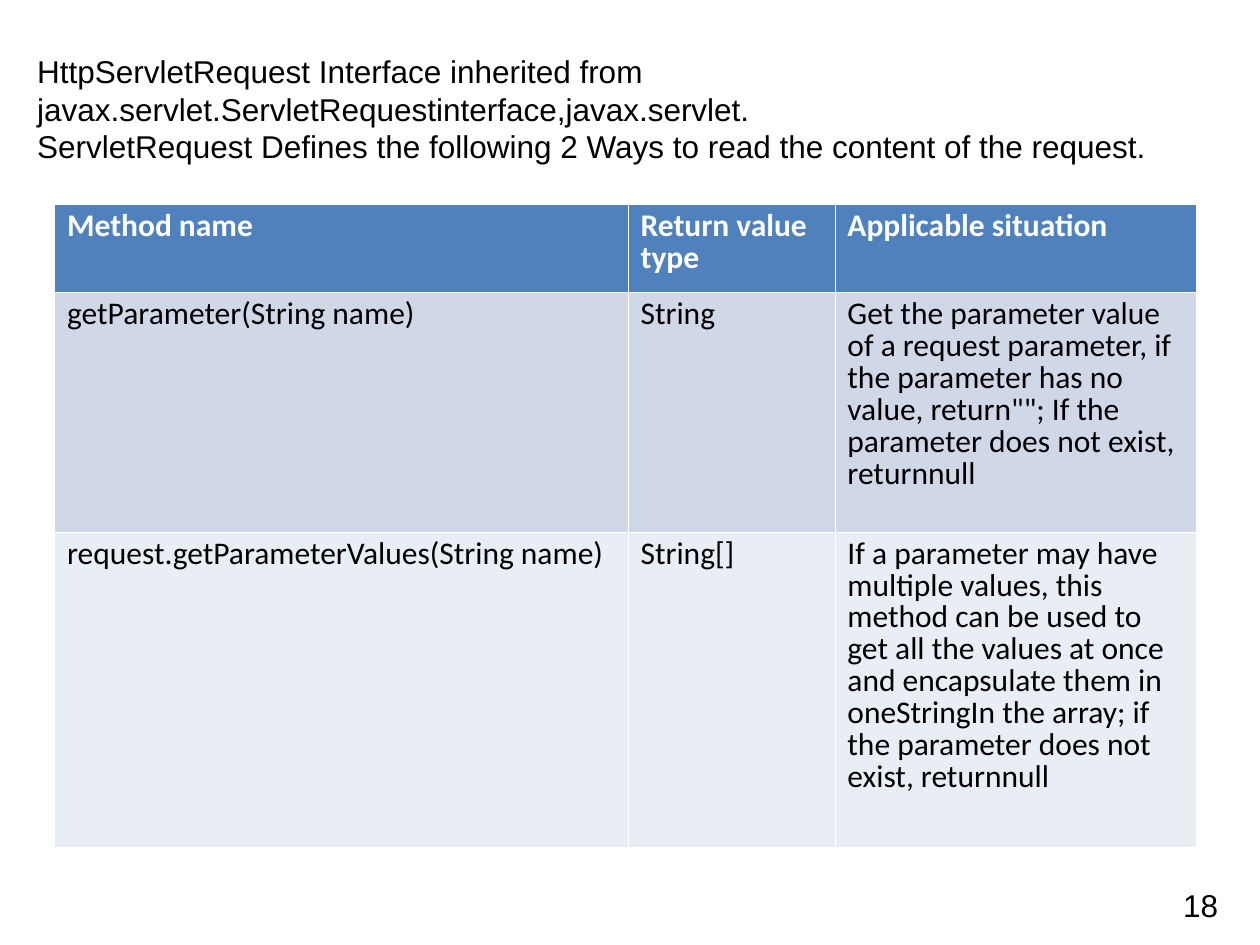
from lxml.etree import SubElement
from pptx import Presentation
from pptx.dml.color import RGBColor
from pptx.oxml.ns import qn
from pptx.util import Cm, Pt

BLACK = RGBColor(0x00, 0x00, 0x00)
WHITE = RGBColor(0xFF, 0xFF, 0xFF)
HEADER_BLUE = RGBColor(0x4F, 0x81, 0xBD)
BAND_DARK = RGBColor(0xD0, 0xD8, 0xE8)
BAND_LIGHT = RGBColor(0xE9, 0xED, 0xF4)

INTRO = [
    "HttpServletRequest Interface inherited from "
    "javax.servlet.ServletRequestinterface,javax.servlet.",
    "ServletRequest Defines the following 2 Ways to read the content of the request.",
]
METHODS = [
    ["Method name", "Return value type", "Applicable situation"],
    ["getParameter(String name)", "String",
     "Get the parameter value of a request parameter, if the parameter has no "
     'value, return""; If the parameter does not exist, returnnull'],
    ["request.getParameterValues(String name)", "String[]",
     "If a parameter may have multiple values, this method can be used to get all "
     "the values at once and encapsulate them in oneStringIn the array; if the "
     "parameter does not exist, returnnull"],
]
COL_WIDTHS = [11.56, 4.17, 7.29]
ROW_HEIGHTS = [1.78, 4.83, 6.35]
ROW_FILLS = [HEADER_BLUE, BAND_DARK, BAND_LIGHT]
THIN, THICK = 0.23, 0.75


def write_text(tf, lines, font="Arial", size=18, color=BLACK, bold=False, spacing=None):
    tf.word_wrap = True
    for i, line in enumerate(lines):
        p = tf.paragraphs[0] if i == 0 else tf.add_paragraph()
        if spacing:
            p.line_spacing = spacing
        r = p.add_run()
        r.text = line
        r.font.name = font
        r.font.size = Pt(size)
        r.font.bold = bold
        r.font.color.rgb = color


def add_text(s, left, top, width, height, lines, **fmt):
    sp = s.shapes.add_textbox(Cm(left), Cm(top), Cm(width), Cm(height))
    write_text(sp.text_frame, lines, **fmt)


def set_borders(cell, top, bottom):
    """Draw white cell borders; widths are in points."""
    tc_pr = cell._tc.get_or_add_tcPr()
    widths = {"a:lnL": THIN, "a:lnR": THIN, "a:lnT": top, "a:lnB": bottom}
    for i, (tag, width) in enumerate(widths.items()):
        ln = SubElement(tc_pr, qn(tag), w=str(Pt(width)))
        fill = SubElement(ln, qn("a:solidFill"))
        SubElement(fill, qn("a:srgbClr"), val=str(WHITE))
        tc_pr.insert(i, ln)  # borders come before the cell fill


def add_method_table(s, left, top):
    shape = s.shapes.add_table(len(METHODS), len(COL_WIDTHS), Cm(left), Cm(top),
                               Cm(sum(COL_WIDTHS)), Cm(sum(ROW_HEIGHTS)))
    table = shape.table
    for col, width in zip(table.columns, COL_WIDTHS):
        col.width = Cm(width)
    for i, (row, height) in enumerate(zip(table.rows, ROW_HEIGHTS)):
        row.height = Cm(height)
        header = i == 0
        for cell, text in zip(row.cells, METHODS[i]):
            cell.fill.solid()
            cell.fill.fore_color.rgb = ROW_FILLS[i]
            set_borders(cell, top=THICK if i == 1 else THIN,
                        bottom=THICK if header else THIN)
            write_text(cell.text_frame, [text], font="Calibri", bold=header,
                       color=WHITE if header else BLACK, spacing=0.83)


def main():
    prs = Presentation()
    prs.slide_width, prs.slide_height = Cm(25.4), Cm(19.05)
    s = prs.slides.add_slide(prs.slide_layouts[6])

    # Page number
    add_text(s, 23.6, 17.73, 1.8, 1.32, ["18"])
    # Methods for reading request parameters
    add_method_table(s, 1.1, 4.12)
    # Introduction
    add_text(s, 0.5, 0.92, 24.2, 2.54, INTRO)

    prs.save("out.pptx")


if __name__ == "__main__":
    main()
